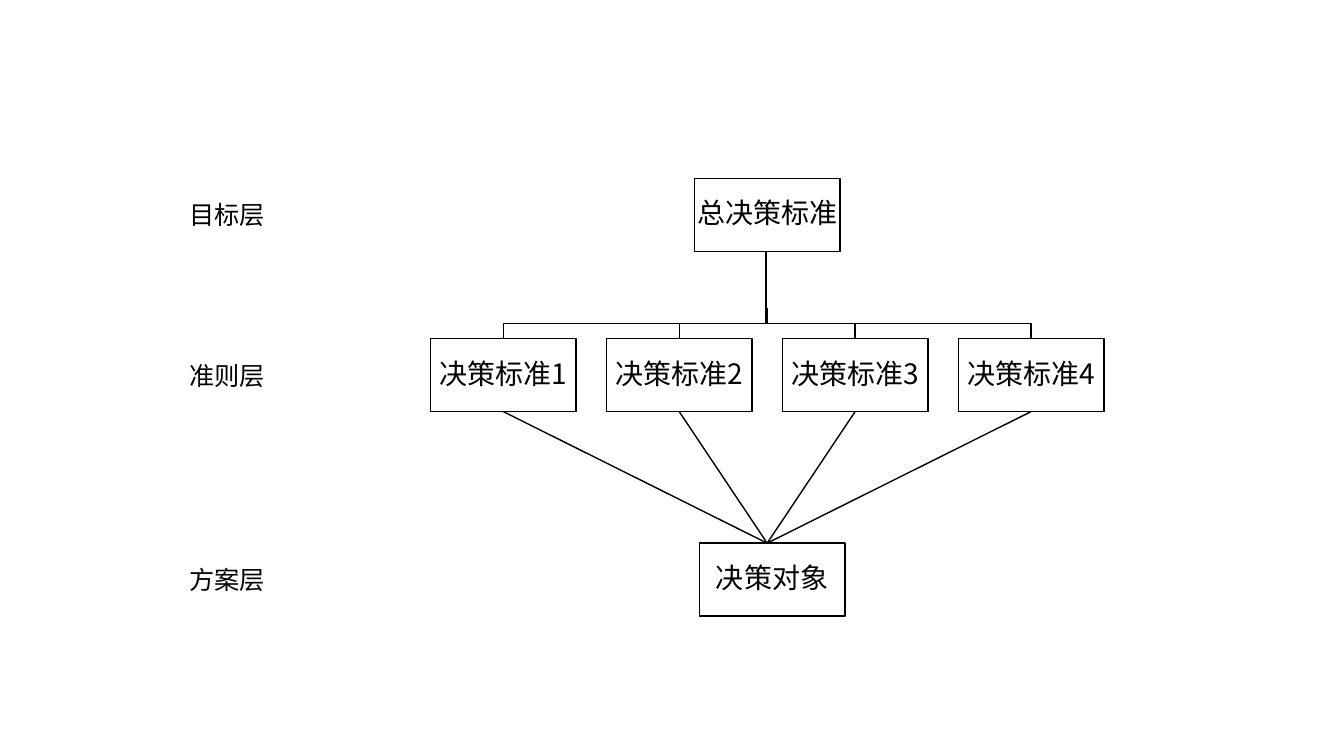
from lxml import etree
from pptx import Presentation
from pptx.dml.color import RGBColor
from pptx.enum.shapes import MSO_CONNECTOR, MSO_SHAPE
from pptx.enum.text import MSO_ANCHOR, MSO_AUTO_SIZE, PP_ALIGN
from pptx.oxml.ns import qn
from pptx.util import Pt

RECTANGLE = MSO_SHAPE.RECTANGLE
STRAIGHT = MSO_CONNECTOR.STRAIGHT
MIDDLE, TOP = MSO_ANCHOR.MIDDLE, MSO_ANCHOR.TOP
CENTER, LEFT = PP_ALIGN.CENTER, PP_ALIGN.LEFT
FIT_SHAPE = MSO_AUTO_SIZE.SHAPE_TO_FIT_TEXT

BLACK = RGBColor(0, 0, 0)
WHITE = RGBColor(255, 255, 255)
FONT = "Noto Sans CJK SC"

LAYERS = [("目标层", 127.5), ("准则层", 242), ("方案层", 388)]
GOAL = "总决策标准"
CRITERIA = ["决策标准1", "决策标准2", "决策标准3", "决策标准4"]
OPTION = "决策对象"

BOX_W, BOX_H = 104, 52
PITCH = 125.7
AXIS_X, OPTION_X = 548, 551.5
LABEL_X, LABEL_W, LABEL_H = 128, 69, 29
FORK_TOP, BUS_Y = 219.8, 231

prs = Presentation()
prs.slide_width, prs.slide_height = Pt(960), Pt(540)
s = prs.slides.add_slide(prs.slide_layouts[6])


def add_text(tf, text, size, align=LEFT, anchor=TOP, spacing=None, after=None):
    tf.word_wrap = False
    tf.vertical_anchor = anchor
    p = tf.paragraphs[0]
    p.alignment = align
    p.line_spacing = spacing
    p.space_after = after
    r = p.add_run()
    r.text = text
    r.font.size = Pt(size)
    r.font.name = FONT
    r.font.color.rgb = BLACK
    ea = etree.SubElement(r.font._element, qn("a:ea"))
    ea.set("typeface", FONT)


def add_box(text, center, top):
    sp = s.shapes.add_shape(RECTANGLE, Pt(center - BOX_W / 2), Pt(top), Pt(BOX_W), Pt(BOX_H))
    sp.shadow.inherit = False
    sp.fill.solid()
    sp.fill.fore_color.rgb = WHITE
    sp.line.color.rgb = BLACK
    sp.line.width = Pt(1)
    tf = sp.text_frame
    tf.margin_left = tf.margin_right = tf.margin_top = tf.margin_bottom = Pt(1.4)
    add_text(tf, text, 20, align=CENTER, anchor=MIDDLE, spacing=0.9, after=Pt(7))
    tf.word_wrap = True


def add_line(x1, y1, x2, y2, width=1):
    line = s.shapes.add_connector(STRAIGHT, Pt(x1), Pt(y1), Pt(x2), Pt(y2))
    line.line.color.rgb = BLACK
    line.line.width = Pt(width)
    etree.SubElement(line._element.spPr, qn("a:effectLst"))


def add_branch(x, bottom):
    points = [(AXIS_X, BUS_Y), (x, BUS_Y), (x, bottom)]
    fb = s.shapes.build_freeform(Pt(AXIS_X), Pt(FORK_TOP))
    fb.add_line_segments([(Pt(a), Pt(b)) for a, b in points], close=False)
    sp = fb.convert_to_shape()
    sp.shadow.inherit = False
    sp.fill.background()
    sp.line.color.rgb = BLACK
    sp.line.width = Pt(1)


goal_y, criteria_y, option_y = [top for _, top in LAYERS]
centers = [AXIS_X + (i - (len(CRITERIA) - 1) / 2) * PITCH for i in range(len(CRITERIA))]

for x in centers:
    add_branch(x, criteria_y)

add_box(GOAL, AXIS_X, goal_y)
for text, x in zip(CRITERIA, centers):
    add_box(text, x, criteria_y)
add_box(OPTION, OPTION_X, option_y)

for x in centers:
    add_line(AXIS_X, option_y, x, criteria_y + BOX_H)
add_line(AXIS_X - 0.6, BUS_Y, AXIS_X - 0.6, goal_y + BOX_H, width=1.5)

for text, top in LAYERS:
    label = s.shapes.add_textbox(
        Pt(LABEL_X), Pt(top + (BOX_H - LABEL_H) / 2), Pt(LABEL_W), Pt(LABEL_H))
    label.text_frame.auto_size = FIT_SHAPE
    add_text(label.text_frame, text, 18)

prs.save("out.pptx")
